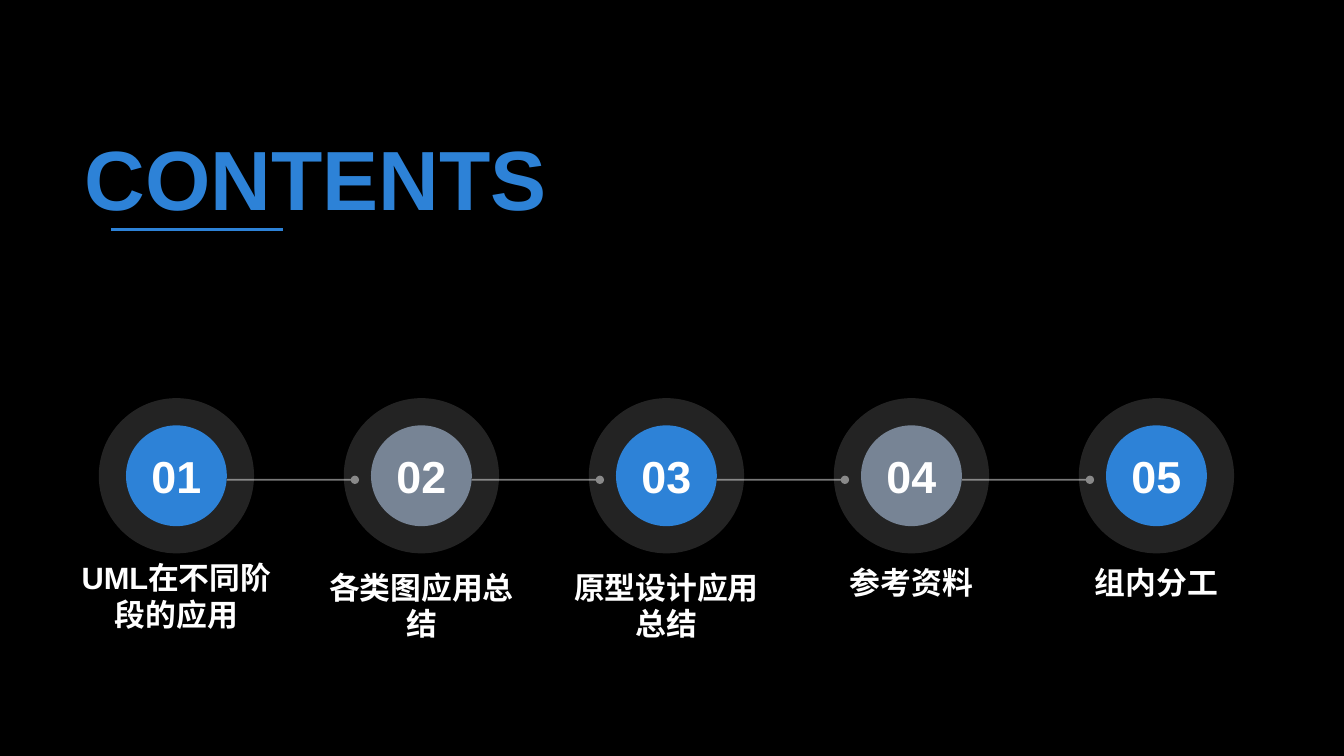
from lxml import etree
from pptx import Presentation
from pptx import util as u
from pptx.dml.color import RGBColor
from pptx.enum import shapes, text
from pptx.oxml.ns import qn

BLUE, GRAY, WHITE, PALE = "2D82D7", "778495", "FFFFFF", "F0F0F0"


def rgb(value):
    return RGBColor.from_string(value)


class Deck:
    font = "Arial"

    def __init__(self, width, height):
        self.prs = Presentation()
        self.prs.slide_width = u.Inches(width)
        self.prs.slide_height = u.Inches(height)
        self.s = self.prs.slides.add_slide(self.prs.slide_layouts[6])

    def background(self, color):
        self.paint(self.s.background.fill, color)

    def paint(self, fill, color):
        fill.solid()
        fill.fore_color.rgb = rgb(color)

    def fade(self, sp, percent):
        for clr in sp._element.spPr.iter(qn("a:srgbClr")):
            etree.SubElement(clr, qn("a:alpha"), val=str(percent * 1000))

    def label(self, sp, words, size, color, align):
        p = sp.text_frame.paragraphs[0]
        p.text = words
        p.alignment = align
        p.font.name = self.font
        p.font.size = u.Pt(size)
        p.font.bold = True
        p.font.color.rgb = rgb(color)
        return p

    def textbox(self, x, y, w, h, words, size, color,
                align=text.PP_ALIGN.LEFT, anchor=text.MSO_ANCHOR.TOP):
        sp = self.s.shapes.add_textbox(*map(u.Inches, (x, y, w, h)))
        tf = sp.text_frame
        tf.word_wrap = True
        tf.auto_size = text.MSO_AUTO_SIZE.SHAPE_TO_FIT_TEXT
        tf.vertical_anchor = anchor
        return self.label(sp, words, size, color, align)

    def circle(self, cx, cy, diameter, color, alpha=100, words=None):
        left, top = cx - diameter / 2, cy - diameter / 2
        sp = self.s.shapes.add_shape(
            shapes.MSO_SHAPE.OVAL,
            *map(u.Inches, (left, top, diameter, diameter)))
        sp.shadow.inherit = False
        sp.line.fill.background()
        self.paint(sp.fill, color)
        if alpha < 100:
            self.fade(sp, alpha)
        if words:
            sp.text_frame.word_wrap = False
            sp.text_frame.vertical_anchor = text.MSO_ANCHOR.MIDDLE
            self.label(sp, words, 32, WHITE, text.PP_ALIGN.CENTER)

    def line(self, x1, x2, y, color, width, alpha=100, dot=False):
        c = self.s.shapes.add_connector(
            shapes.MSO_CONNECTOR.STRAIGHT, *map(u.Inches, (x1, y, x2, y)))
        c.line.width = u.Pt(width)
        self.paint(c.line.fill, color)
        if alpha < 100:
            self.fade(c, alpha)
        props = c._element.spPr
        if dot:
            etree.SubElement(props.find(qn("a:ln")), qn("a:tailEnd"),
                             type="oval")
        etree.SubElement(props, qn("a:effectLst"))


def main():
    deck = Deck(13.33, 7.5)
    deck.background("000000")

    # Heading with its underline
    p = deck.textbox(0.74, 1.01, 7.16, 1.2, "CONTENTS", 60, BLUE)
    p.line_spacing = 1.2
    p.space_before = u.Pt(10)
    deck.line(1.1, 2.81, 2.28, BLUE, 2)

    # Numbered chapters: label, label top, width and height
    chapters = [
        ("UML在不同阶段的应用", 5.49, 2.27, 0.84),
        ("各类图应用总结", 5.58, 2.18, 0.84),
        ("原型设计应用总结", 5.58, 2.27, 0.84),
        ("参考资料", 5.54, 2.27, 0.47),
        ("组内分工", 5.54, 2.27, 0.47),
    ]
    first_x, pitch, center_y = 1.75, 2.43, 4.72
    centers = [first_x + pitch * i for i in range(len(chapters))]
    for i, (cx, (words, top, w, h)) in enumerate(zip(centers, chapters)):
        deck.circle(cx, center_y, 1.54, PALE, alpha=15)
        deck.textbox(cx - w / 2, top, w, h, words, 22, WHITE,
                     text.PP_ALIGN.CENTER, text.MSO_ANCHOR.BOTTOM)
        deck.circle(cx, center_y, 1, (BLUE, GRAY)[i % 2], words=f"{i + 1:02}")

    # Links from each chapter to the next
    for cx in centers[:-1]:
        deck.line(cx + 0.5, cx + 1.77, 4.76, PALE, 1.25, alpha=50, dot=True)

    deck.prs.save("out.pptx")


if __name__ == "__main__":
    main()
